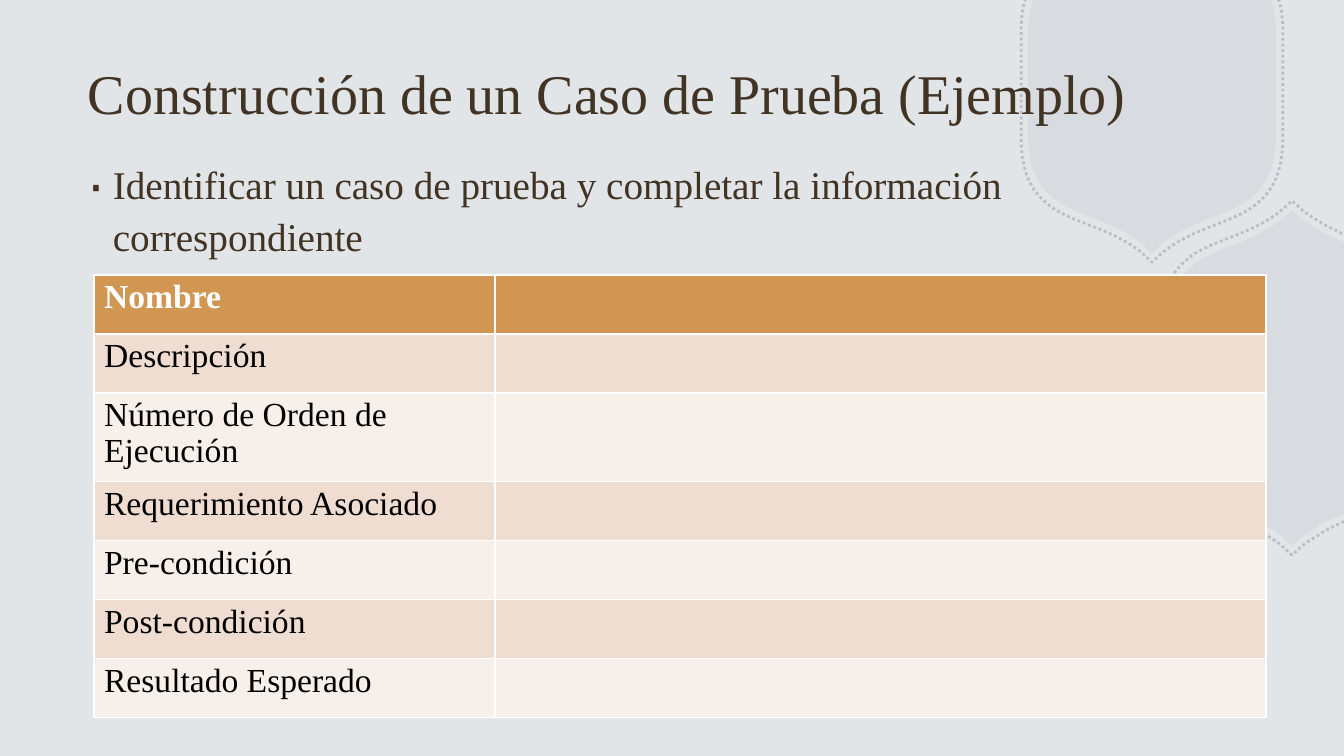
from lxml import etree
from pptx import Presentation
from pptx.dml.color import RGBColor
from pptx.enum.dml import MSO_LINE
from pptx.enum.text import MSO_ANCHOR
from pptx.oxml.ns import qn
from pptx.util import Emu, Pt

MIDDLE = MSO_ANCHOR.MIDDLE
DOTTED = MSO_LINE.ROUND_DOT

WIDTH, HEIGHT = 1344, 756
SCALE = 12192000 / WIDTH
FONT = "Times New Roman"

BACKGROUND = RGBColor(0xE2, 0xE5, 0xE8)
BADGE = RGBColor(0xA2, 0xAC, 0xB5)
BROWN = RGBColor(0x41, 0x34, 0x24)
ORANGE = RGBColor(0xD1, 0x96, 0x51)
DARK_BAND = RGBColor(0xEE, 0xDD, 0xD0)
LIGHT_BAND = RGBColor(0xF7, 0xEF, 0xE9)
WHITE = RGBColor(0xFF, 0xFF, 0xFF)
BLACK = RGBColor(0x00, 0x00, 0x00)


def emu(pixels):
    """Turn pixels into EMU."""
    return Emu(round(pixels * SCALE))


def write(frame, text, size, color):
    """Put one paragraph of styled text into a frame and return it."""
    frame.text = text
    para = frame.paragraphs[0]
    for span in para.runs:
        span.font.name = FONT
        span.font.size = Pt(size)
        span.font.color.rgb = color
    return para


deck = Presentation()
deck.slide_width, deck.slide_height = emu(WIDTH), emu(HEIGHT)
page = deck.slides.add_slide(deck.slide_layouts[6])
page.background.fill.solid()
page.background.fill.fore_color.rgb = BACKGROUND

# Half outlines around each badge's center; the other half is mirrored.
# In the kinds, L is a line to one point and C a curve through three.
SIDE = [(124, 49), (124, 85), (114, 103), (92, 118), (69, 132), (38, 137), (11, 158)]
top_half = [(119, -85), (120, -82), (123, -73), (124, -62), (124, -49)] + SIDE
right_half = [(52, 136), (31, 145), (25, 149), (18, 153), (11, 158), (0, 168)]
right_half += [(-x, y) for x, y in reversed(SIDE)]
BADGES = [
    (1152, 85, top_half + [(0, 168)] + [(-x, y) for x, y in reversed(top_half)],
     "LCLCCLLCCLCL"),
    (1292, 378, right_half + [(x, -y) for x, y in reversed(right_half)],
     "LCLLCCLCCLLCL"),
]
for growth, is_filled in ((1, True), (1.055, False)):
    for center_x, center_y, points, kinds in BADGES:
        corners = [
            (emu(min(center_x + growth * x, WIDTH)), emu(max(center_y + growth * y, 0)))
            for x, y in points]
        builder = page.shapes.build_freeform(*corners[0])
        builder.add_line_segments(corners[1:], close=is_filled)
        badge = builder.convert_to_shape()
        segments = iter(list(badge.element.iter(qn("a:lnTo"))))
        for kind in kinds:
            segment = next(segments)
            if kind == "C":
                curve = etree.Element(qn("a:cubicBezTo"))
                segment.addprevious(curve)
                for part in (segment, next(segments), next(segments)):
                    curve.append(part[0])
                    part.getparent().remove(part)
        badge.shadow.inherit = False
        if is_filled:
            badge.fill.solid()
            badge.fill.fore_color.rgb = BADGE
            badge.line.fill.background()
            opacity = 15
        else:
            badge.fill.background()
            badge.line.color.rgb = BADGE
            badge.line.width = Pt(2)
            badge.line.dash_style = DOTTED
            opacity = 65
        tint = next(badge.element.spPr.iter(qn("a:srgbClr")))
        etree.SubElement(tint, qn("a:alpha"), val=str(opacity * 1000))

# Title and bullet
title = page.shapes.add_textbox(emu(78), emu(41), emu(1172), emu(103)).text_frame
title.word_wrap = True
title.vertical_anchor = MIDDLE
write(title, "Construcción de un Caso de Prueba (Ejemplo)", 40, BROWN)

body = page.shapes.add_textbox(emu(78), emu(151), emu(1172), emu(558)).text_frame
body.word_wrap = True
para = write(
    body,
    "Identificar un caso de prueba y completar la información correspondiente",
    28, BROWN)
para.line_spacing = 1.1
para.space_before = Pt(10)
properties = para._p.get_or_add_pPr()
properties.set("marL", str(emu(25)))
properties.set("indent", str(-emu(25)))
etree.SubElement(properties, qn("a:buSzPct"), val="150000")
etree.SubElement(properties, qn("a:buFont"), typeface="Arial")
etree.SubElement(properties, qn("a:buChar"), char="∙")

# Test case table; its default style draws the white rules
FIELDS = [
    "Nombre",
    "Descripción",
    "Número de Orden de Ejecución",
    "Requerimiento Asociado",
    "Pre-condición",
    "Post-condición",
    "Resultado Esperado",
]
COLUMN_WIDTHS = (401, 771)
ROW_HEIGHT = 59
table = page.shapes.add_table(
    len(FIELDS), len(COLUMN_WIDTHS), emu(94), emu(275),
    emu(sum(COLUMN_WIDTHS)), emu(ROW_HEIGHT * len(FIELDS))).table
for column, width in zip(table.columns, COLUMN_WIDTHS):
    column.width = emu(width)

for row, field in enumerate(FIELDS):
    table.rows[row].height = emu(ROW_HEIGHT)
    is_header = row == 0
    label = write(table.cell(row, 0).text_frame, field, 24, WHITE if is_header else BLACK)
    label.line_spacing = 0.97
    label.runs[0].font.bold = is_header
    band = ORANGE if is_header else (LIGHT_BAND, DARK_BAND)[row % 2]
    for cell in table.rows[row].cells:
        cell.fill.solid()
        cell.fill.fore_color.rgb = band

deck.save("out.pptx")
